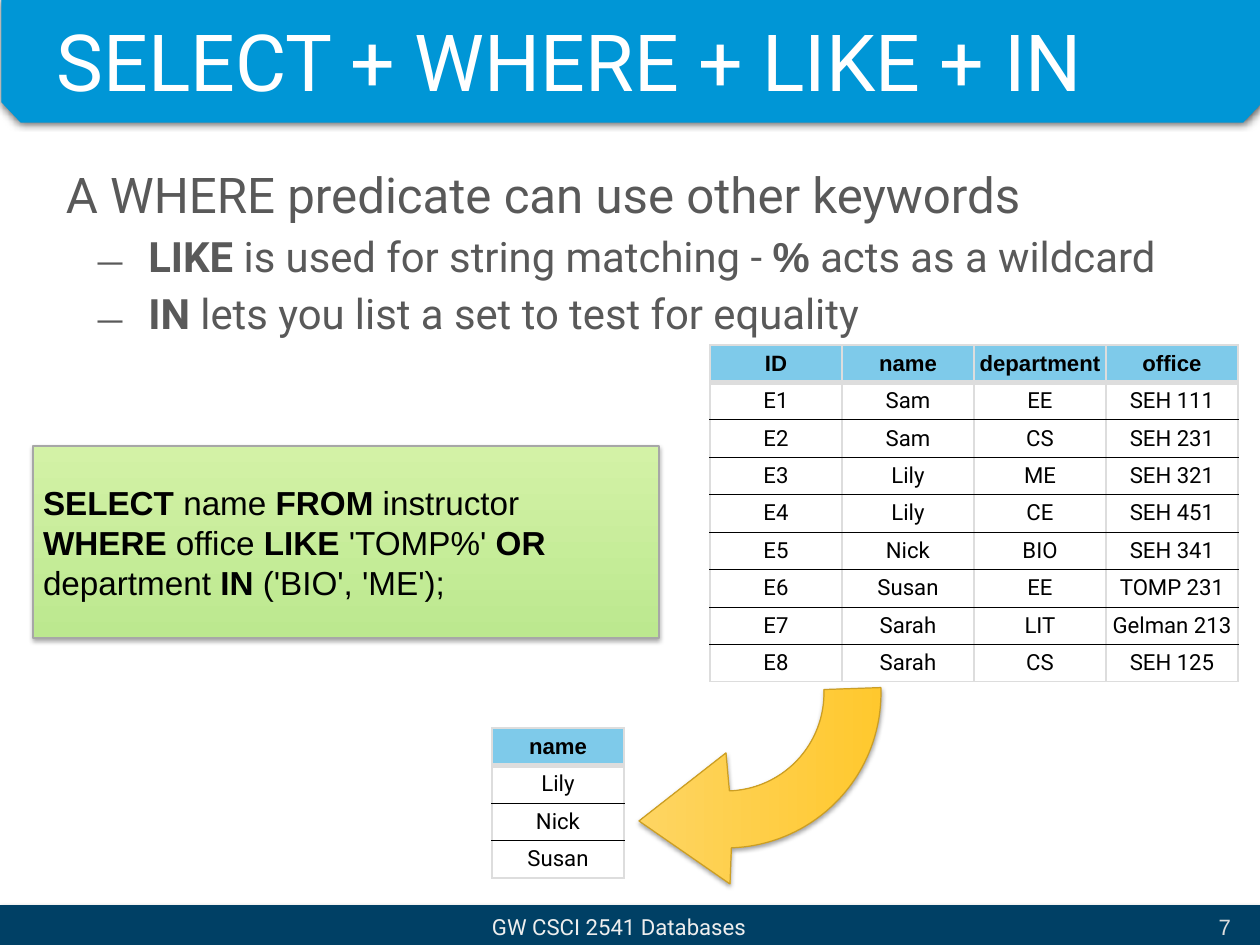
import math
from lxml import etree
from pptx import Presentation
from pptx import util as u
from pptx.dml.color import RGBColor
from pptx.enum import shapes, text
from pptx.oxml.ns import qn

PX = 10320  # EMU per pixel

WHITE = RGBColor(0xFF, 0xFF, 0xFF)
BLACK = RGBColor(0, 0, 0)
BANNER_BLUE = RGBColor(0x00, 0x96, 0xD6)
FOOTER_BLUE = RGBColor(0x00, 0x40, 0x65)
HEADER_BLUE = RGBColor(0x7E, 0xCA, 0xEA)
BODY_GREY = RGBColor(0x59, 0x59, 0x59)
FOOTER_TEXT = RGBColor(0xEE, 0xEE, 0xEE)
RULE_GREY = RGBColor(0xDD, 0xDD, 0xDD)
CODE_BORDER = RGBColor(0xA7, 0xA7, 0xA7)
GREENS = RGBColor(0xBC, 0xE8, 0x8F), RGBColor(0xD3, 0xF2, 0xA6)
YELLOWS = RGBColor(0xFF, 0xC8, 0x2E), RGBColor(0xFE, 0xD5, 0x62)
ARROW_BORDER = RGBColor(0xCB, 0x9E, 0x24)

INSTRUCTORS = [
    ("ID", "name", "department", "office"),
    ("E1", "Sam", "EE", "SEH 111"),
    ("E2", "Sam", "CS", "SEH 231"),
    ("E3", "Lily", "ME", "SEH 321"),
    ("E4", "Lily", "CE", "SEH 451"),
    ("E5", "Nick", "BIO", "SEH 341"),
    ("E6", "Susan", "EE", "TOMP 231"),
    ("E7", "Sarah", "LIT", "Gelman 213"),
    ("E8", "Sarah", "CS", "SEH 125"),
]
MATCHES = [("name",), ("Lily",), ("Nick",), ("Susan",)]


def px(*lengths):
    return [u.Emu(round(length * PX)) for length in lengths]


def add_xml(parent, tag, **attributes):
    return etree.SubElement(parent, qn(tag), {k: str(v) for k, v in attributes.items()})


def arc(centre, radius, start, end, steps=40):
    """Points along a circle, with angles in degrees, clockwise from the right."""
    angles = [math.radians(start + (end - start) * i / steps) for i in range(steps + 1)]
    return [(centre[0] + radius * math.cos(a), centre[1] + radius * math.sin(a)) for a in angles]


class SlideBuilder:
    heading_font = "Roboto"
    plain_font = "Arial"

    def __init__(self, presentation):
        self.slide = presentation.slides.add_slide(presentation.slide_layouts[6])

    def style(self, font, size, color, name=None, bold=False):
        font.name, font.size, font.bold = name or self.heading_font, u.Pt(size), bold
        font.color.rgb = color

    def finish(self, shape, fill, line, angle=0, shadow=(37, 4, 2)):
        """Apply a plain or two-colour fill, an outline and a (alpha, blur, distance) shadow."""
        shape.shadow.inherit = False
        if isinstance(fill, RGBColor):
            shape.fill.solid()
            shape.fill.fore_color.rgb = fill
        else:
            shape.fill.gradient()
            shape.fill.gradient_angle = angle
            for stop, color in zip(shape.fill.gradient_stops, fill):
                stop.color.rgb = color
        shape.line.color.rgb = line
        shape.line.width = u.Pt(1)
        alpha, blur, distance = shadow
        effects = shape._element.spPr.find(qn("a:effectLst"))
        outer = add_xml(effects, "a:outerShdw", blurRad=u.Pt(blur), dist=u.Pt(distance),
                        dir=5400000, algn="bl", rotWithShape=0)
        add_xml(add_xml(outer, "a:srgbClr", val=BLACK), "a:alpha", val=alpha * 1000)
        return shape

    def rectangle(self, box, fill, line, **finish):
        shape = self.slide.shapes.add_shape(shapes.MSO_SHAPE.RECTANGLE, *px(*box))
        return self.finish(shape, fill, line, **finish)

    def outline(self, points, fill, line, **finish):
        start, *corners = [px(*point) for point in points]
        builder = self.slide.shapes.build_freeform(*start)
        builder.add_line_segments(corners, close=True)
        return self.finish(builder.convert_to_shape(), fill, line, **finish)

    def frame(self, shape, inset, anchor=text.MSO_ANCHOR.MIDDLE):
        frame = shape.text_frame
        frame.word_wrap = True
        frame.vertical_anchor = anchor
        frame.margin_left = frame.margin_top = frame.margin_right = frame.margin_bottom = px(inset)[0]
        return frame

    def text_box(self, box, anchor=text.MSO_ANCHOR.MIDDLE):
        return self.frame(self.slide.shapes.add_textbox(*px(*box)), 12, anchor)

    def label(self, box, words, size, color, align=text.PP_ALIGN.LEFT, name=None):
        paragraph = self.text_box(box).paragraphs[0]
        paragraph.text = words
        paragraph.alignment = align
        self.style(paragraph.runs[0].font, size, color, name)

    def rich_text(self, paragraph, markup, size, color, name=None):
        """Write runs in which words between asterisks are bold."""
        for index, words in enumerate(markup.split("*")):
            if words:
                run = paragraph.add_run()
                run.text = words
                self.style(run.font, size, color, name, bold=index % 2 == 1)

    def bullet(self, paragraph, character, color):
        paragraph.level = 1
        properties = paragraph._p.get_or_add_pPr()
        properties.set("marL", str(u.Inches(0.93)))
        properties.set("indent", str(u.Inches(-0.66)))
        add_xml(add_xml(properties, "a:buClr"), "a:srgbClr", val=color)
        add_xml(properties, "a:buFont", typeface=self.heading_font)
        add_xml(properties, "a:buChar", char=character)

    def borders(self, cell, top, bottom):
        side = (RULE_GREY, 1)
        properties = cell._tc.get_or_add_tcPr()
        for tag, (color, width) in zip(("a:lnL", "a:lnR", "a:lnT", "a:lnB"), (side, side, top, bottom)):
            line = add_xml(properties, tag, w=u.Pt(width))
            add_xml(add_xml(line, "a:solidFill"), "a:srgbClr", val=color)

    def table(self, box, rows):
        table = self.slide.shapes.add_table(len(rows), len(rows[0]), *px(*box)).table
        table.horz_banding = False
        rules = [(RULE_GREY, 1), (RULE_GREY, 4)] + [(BLACK, 0.75)] * (len(rows) - 2) + [(RULE_GREY, 1)]
        for r, row in enumerate(rows):
            header = r == 0
            for c, words in enumerate(row):
                cell = table.cell(r, c)
                self.borders(cell, rules[r], rules[r + 1])
                cell.fill.solid()
                cell.fill.fore_color.rgb = HEADER_BLUE if header else WHITE
                cell.margin_left = cell.margin_right = cell.margin_top = cell.margin_bottom = 0
                cell.vertical_anchor = text.MSO_ANCHOR.MIDDLE
                paragraph = cell.text_frame.paragraphs[0]
                paragraph.text = words
                paragraph.alignment = text.PP_ALIGN.CENTER
                self.style(paragraph.runs[0].font, 18, BLACK,
                           self.plain_font if header else None, bold=header)


def main():
    presentation = Presentation()
    presentation.slide_width, presentation.slide_height = px(1260, 945)
    builder = SlideBuilder(presentation)

    banner = [(2, 0), (1262, 0), (1262, 102), (1243, 122), (21, 122), (2, 102)]
    builder.outline(banner, BANNER_BLUE, BANNER_BLUE, shadow=(71, 7, 0))
    builder.rectangle((0, 906, 1260, 39), FOOTER_BLUE, FOOTER_BLUE)
    builder.label((93, 901, 1052, 52), "GW CSCI 2541 Databases", 18, FOOTER_TEXT, text.PP_ALIGN.CENTER)
    builder.label((45, 0, 1174, 120), "SELECT + WHERE + LIKE + IN", 64, WHITE)
    builder.label((1204, 901, 39, 51), "7", 18, RULE_GREY, text.PP_ALIGN.RIGHT, builder.plain_font)

    body = builder.text_box((54, 143, 1185, 759), text.MSO_ANCHOR.TOP)
    intro = body.paragraphs[0]
    builder.rich_text(intro, "A WHERE predicate can use other keywords", 40, BODY_GREY)
    keywords = [
        "*LIKE* is used for string matching - *%* acts as a wildcard",
        "*IN* lets you list a set to test for equality",
    ]
    for keyword in keywords:
        paragraph = body.add_paragraph()
        builder.bullet(paragraph, "﹘", BODY_GREY)
        builder.rich_text(paragraph, keyword, 34, BODY_GREY)
    for paragraph in body.paragraphs:
        paragraph.line_spacing = 1.15
    wildcard = body.paragraphs[1].runs[2]
    wildcard.font.name = builder.plain_font

    query_box = builder.rectangle((33, 446, 626, 192), GREENS, CODE_BORDER, angle=90, shadow=(34, 4, 2))
    query = builder.frame(query_box, 10).paragraphs[0]
    query.alignment = text.PP_ALIGN.LEFT
    builder.rich_text(
        query,
        "*SELECT* name *FROM* instructor *WHERE* office *LIKE* 'TOMP%' *OR* department *IN* ('BIO', 'ME');",
        27, BLACK, builder.plain_font)

    builder.table((710, 345, 528, 337), INSTRUCTORS)
    centre = (726, 693)
    arrow = [(639, 821), (730, 884), *arc(centre, 155, 88, -2), *arc(centre, 98, -2, 88), (726, 753)]
    builder.outline(arrow, YELLOWS, ARROW_BORDER, angle=180)
    builder.table((492, 728, 132, 150), MATCHES)

    presentation.save("out.pptx")


if __name__ == "__main__":
    main()
